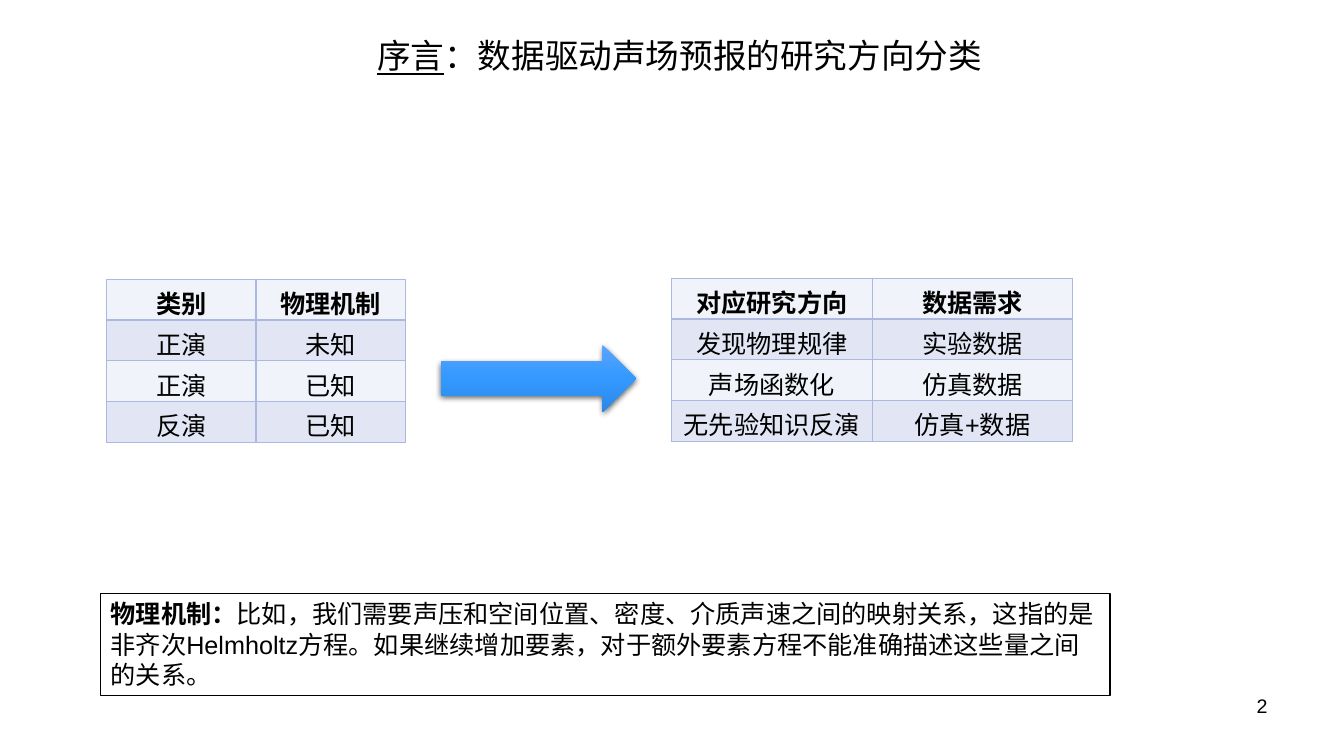
from pptx import Presentation
from pptx.dml.color import RGBColor
from pptx.enum.shapes import MSO_SHAPE
from pptx.enum.text import MSO_ANCHOR, MSO_AUTO_SIZE, PP_ALIGN
from pptx.oxml import parse_xml
from pptx.oxml.ns import nsdecls
from pptx.util import Inches, Pt

BLACK = RGBColor(0x00, 0x00, 0x00)
WHITE = RGBColor(0xFF, 0xFF, 0xFF)
BORDER = RGBColor(0xAA, 0xB8, 0xE2)
LIGHT_BAND = RGBColor(0xF1, 0xF3, 0xFA)
DARK_BAND = RGBColor(0xE2, 0xE6, 0xF4)
ARROW_TOP = RGBColor(0x5A, 0xA4, 0xFF)
ARROW_MIDDLE = RGBColor(0x33, 0x99, 0xFF)
ARROW_BOTTOM = RGBColor(0x2B, 0x88, 0xE5)


class SlideBuilder:
    font = "Arial"
    body_size = 18

    def __init__(self, deck):
        self.width, self.height = deck.slide_width, deck.slide_height
        self.page = deck.slides.add_slide(deck.slide_layouts[6])

    def place(self, left, top, width, height):
        return (int(left * self.width / 100), int(top * self.height / 100),
                int(width * self.width / 100), int(height * self.height / 100))

    def add_span(self, para, text, size=body_size, align=PP_ALIGN.LEFT, bold=False, underline=False):
        span = para.add_run()
        span.text = text
        para.alignment = align
        span.font.name = self.font
        span.font.size = Pt(size)
        span.font.bold = bold
        span.font.underline = underline
        span.font.color.rgb = BLACK

    def text_box(self, area):
        box = self.page.shapes.add_textbox(*self.place(*area))
        box.text_frame.word_wrap = True
        return box.text_frame

    def title(self, area, section, topic):
        frame = self.text_box(area)
        frame.margin_left = frame.margin_right = Inches(0.13)
        frame.margin_top = frame.margin_bottom = Inches(0.13)
        frame.auto_size = MSO_AUTO_SIZE.SHAPE_TO_FIT_TEXT
        para = frame.paragraphs[0]
        self.add_span(para, section, 24, PP_ALIGN.CENTER, underline=True)
        self.add_span(para, topic, 24, PP_ALIGN.CENTER)
        properties = para._p.get_or_add_pPr()
        properties.set("marL", str(Inches(0.16)))
        properties.set("indent", "0")

    def page_number(self, area, number):
        self.add_span(self.text_box(area).paragraphs[0], number, 14, PP_ALIGN.RIGHT)

    def note(self, area, term, explanation):
        box = self.page.shapes.add_shape(MSO_SHAPE.RECTANGLE, *self.place(*area))
        box.shadow.inherit = False
        box.fill.solid()
        box.fill.fore_color.rgb = WHITE
        box.line.color.rgb = BLACK
        box.line.width = Pt(1)
        frame = box.text_frame
        frame.word_wrap = True
        frame.vertical_anchor = MSO_ANCHOR.TOP
        frame.auto_size = MSO_AUTO_SIZE.SHAPE_TO_FIT_TEXT
        para = frame.paragraphs[0]
        self.add_span(para, term, bold=True)
        self.add_span(para, explanation)

    def arrow(self, area):
        arrow = self.page.shapes.add_shape(MSO_SHAPE.RIGHT_ARROW, *self.place(*area))
        arrow.line.fill.background()
        arrow.shadow.inherit = False
        properties = arrow._element.spPr
        stops = "".join(
            f'<a:gs pos="{position}"><a:srgbClr val="{color}"/></a:gs>'
            for position, color in ((0, ARROW_TOP), (50000, ARROW_MIDDLE), (100000, ARROW_BOTTOM)))
        properties.insert(2, parse_xml(
            f'<a:gradFill {nsdecls("a")} rotWithShape="1"><a:gsLst>{stops}</a:gsLst>'
            '<a:lin ang="5400000" scaled="0"/></a:gradFill>'))
        properties[-1].append(parse_xml(
            f'<a:outerShdw {nsdecls("a")} blurRad="{Pt(4.5)}" dist="{Pt(1.5)}" dir="5400000" '
            f'algn="ctr" rotWithShape="0"><a:srgbClr val="{BLACK}">'
            '<a:alpha val="63000"/></a:srgbClr></a:outerShdw>'))

    def cell(self, cell, text, row):
        properties = cell._tc.get_or_add_tcPr()
        for side in "LRTB":
            properties.append(parse_xml(
                f'<a:ln{side} {nsdecls("a")} w="{Pt(1)}"><a:solidFill>'
                f'<a:srgbClr val="{BORDER}"/></a:solidFill></a:ln{side}>'))
        cell.fill.solid()
        cell.fill.fore_color.rgb = DARK_BAND if row % 2 else LIGHT_BAND
        self.add_span(cell.text_frame.paragraphs[0], text, align=PP_ALIGN.CENTER, bold=row == 0)

    def table(self, area, rows):
        frame = self.page.shapes.add_table(len(rows), len(rows[0]), *self.place(*area))
        for row, texts in enumerate(rows):
            for column, text in enumerate(texts):
                self.cell(frame.table.cell(row, column), text, row)


def main():
    deck = Presentation()
    deck.slide_width, deck.slide_height = Inches(13.33), Inches(7.5)
    slide = SlideBuilder(deck)
    slide.title((9.75, 2.93, 80.42, 8.93), "序言", "：数据驱动声场预报的研究方向分类")
    slide.note((7.5, 78.53, 75.09, 13.47), "物理机制：",
               "比如，我们需要声压和空间位置、密度、介质声速之间的映射关系，这指的是"
               "非齐次Helmholtz方程。如果继续增加要素，对于额外要素方程不能准确描述这些量之间的关系。")
    slide.table((7.95, 36.93, 22.2, 21.6), [
        ("类别", "物理机制"),
        ("正演", "未知"),
        ("正演", "已知"),
        ("反演", "已知")])
    slide.arrow((32.78, 45.6, 14.55, 8.93))
    slide.table((49.96, 36.8, 29.86, 21.6), [
        ("对应研究方向", "数据需求"),
        ("发现物理规律", "实验数据"),
        ("声场函数化", "仿真数据"),
        ("无先验知识反演", "仿真+数据")])
    slide.page_number((71.72, 91.07, 23.33, 6.93), "2")
    deck.save("out.pptx")


if __name__ == "__main__":
    main()
